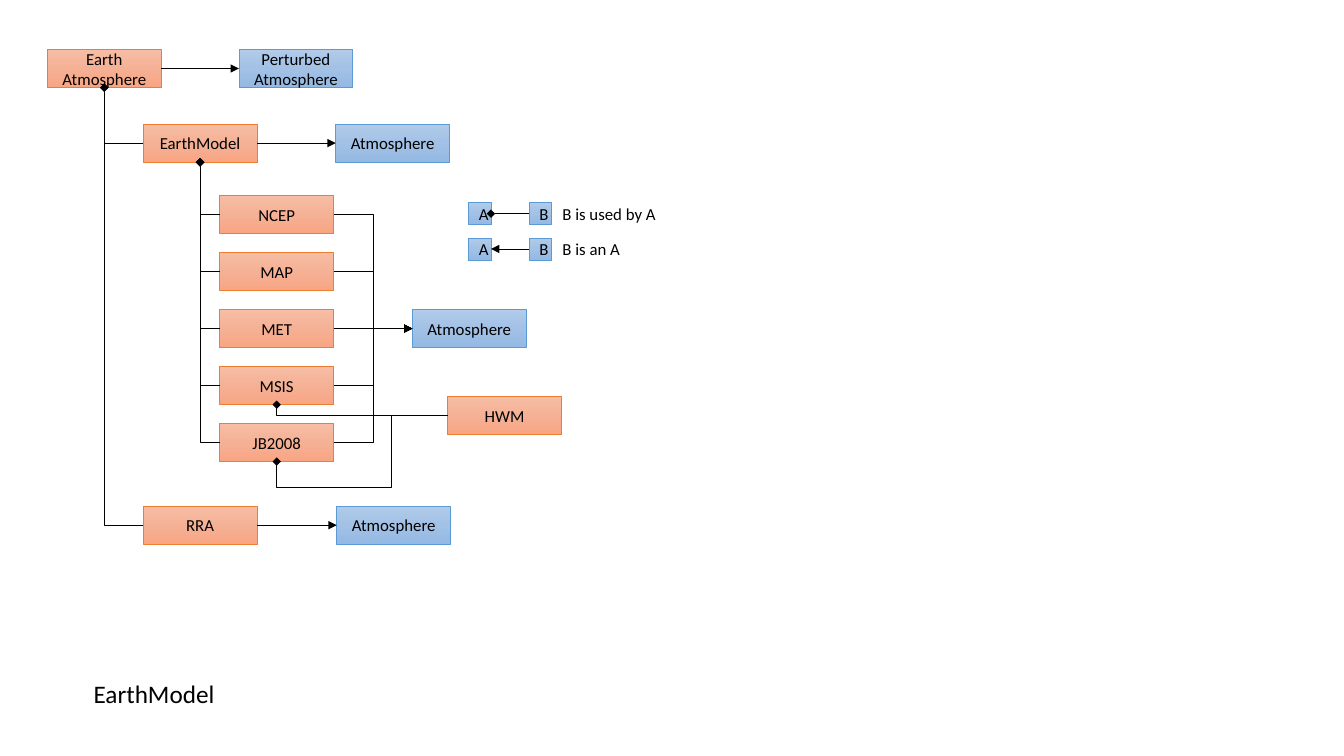
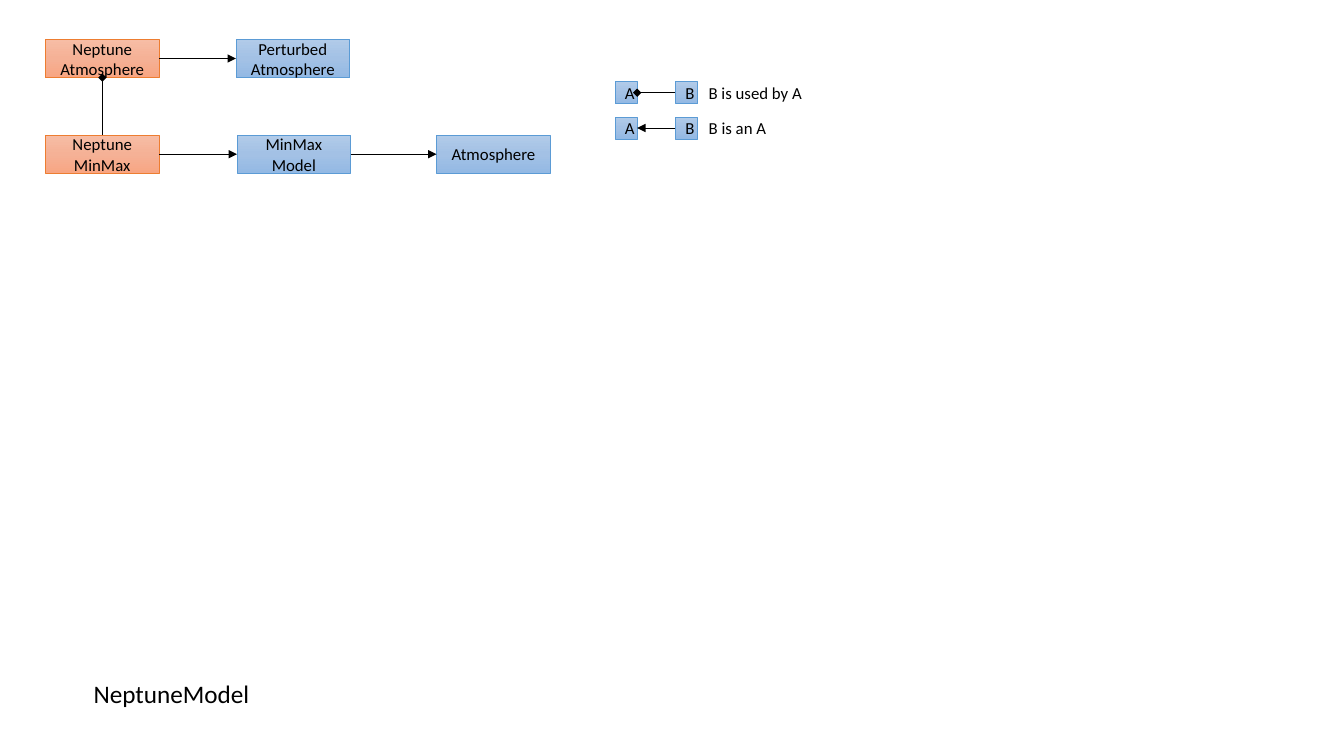
import copy
import dataclasses

import lxml.etree
import pptx
import pptx.dml.color
import pptx.enum.shapes
import pptx.enum.text
import pptx.oxml.ns
import pptx.util

Inches = pptx.util.Inches
qn = pptx.oxml.ns.qn
TOP, LEFT, BOTTOM, RIGHT = range(4)


@dataclasses.dataclass(frozen=True)
class Theme:
    """Colours, type sizes and measures shared by the slides."""

    orange: tuple = ("F7BDA5", "F5B196", "F8A582", "ED7D31")
    blue: tuple = ("B1CBE9", "A3C1E5", "93B9E4", "5B9BD5")
    ink: str = "000000"
    font: str = "Calibri"
    label_size: int = 12
    title_size: int = 18
    line_width: float = 0.5
    box_width: float = 1.13
    box_height: float = 0.38
    key_size: float = 0.22


THEME = Theme()


def color(value):
    """Return an RGB colour from its hexadecimal digits."""
    return pptx.dml.color.RGBColor.from_string(value)


def apply_format(target, values):
    """Set each attribute named in values on target."""
    for name, value in values.items():
        setattr(target, name, value)


def write_text(shape, text, size, alignment=None):
    """Write one paragraph for each line of text."""
    frame = shape.text_frame
    frame.text = text
    for paragraph in frame.paragraphs:
        if alignment is not None:
            paragraph.alignment = alignment
        apply_format(paragraph.font, {"name": THEME.font, "size": pptx.util.Pt(size)})
        paragraph.font.color.rgb = color(THEME.ink)


def set_line(line, value):
    """Give a line its colour and the shared width."""
    line.color.rgb = color(value)
    line.width = pptx.util.Pt(THEME.line_width)


def add_box(shapes, left, top, width, height, text, palette):
    """Add a labelled rectangle with a three-stop vertical gradient."""
    shape = shapes.add_shape(
        pptx.enum.shapes.MSO_SHAPE.RECTANGLE,
        Inches(left), Inches(top), Inches(width), Inches(height),
    )
    shape.shadow.inherit = False
    shape.fill.gradient()
    shape.fill.gradient_angle = 270
    stop_list = shape._element.spPr.find(qn("a:gradFill")).find(qn("a:gsLst"))
    stop_list.insert(1, copy.deepcopy(stop_list[0]))
    for stop, position, value in zip(shape.fill.gradient_stops, (0, 0.5, 1), palette):
        stop.position = position
        stop.color.rgb = color(value)
    set_line(shape.line, palette[-1])
    write_text(shape, text, THEME.label_size, pptx.enum.text.PP_ALIGN.CENTER)
    return shape


def add_label(shapes, left, top, width, height, text, size):
    """Add a text box that fits its single line of text."""
    shape = shapes.add_textbox(Inches(left), Inches(top), Inches(width), Inches(height))
    values = {"word_wrap": False, "auto_size": pptx.enum.text.MSO_AUTO_SIZE.SHAPE_TO_FIT_TEXT}
    apply_format(shape.text_frame, values)
    write_text(shape, text, size)


def join(shapes, begin, end, arrowhead, preset="line", adjustments=()):
    """Connect two (shape, side) pairs and put an arrowhead at the end."""
    kinds = pptx.enum.shapes.MSO_CONNECTOR
    kind = kinds.STRAIGHT if preset == "line" else kinds.ELBOW
    connector = shapes.add_connector(kind, 0, 0, 0, 0)
    connector.begin_connect(*begin)
    connector.end_connect(*end)
    set_line(connector.line, THEME.ink)
    properties = connector._element.spPr
    geometry = properties.find(qn("a:prstGeom"))
    geometry.set("prst", preset)
    for number, value in enumerate(adjustments, 1):
        guide = lxml.etree.SubElement(geometry.find(qn("a:avLst")), qn("a:gd"))
        guide.set("name", f"adj{number}")
        guide.set("fmla", f"val {round(value * 100000)}")
    tail = lxml.etree.SubElement(properties.find(qn("a:ln")), qn("a:tailEnd"))
    tail.set("type", arrowhead)
    lxml.etree.SubElement(properties, qn("a:effectLst"))


def add_boxes(slide, left, top, boxes):
    """Place class boxes from offsets and return them by key."""
    return {
        key: add_box(slide.shapes, left + x, top + y, THEME.box_width, THEME.box_height, text, palette)
        for key, (x, y, text, palette) in boxes.items()
    }


def add_inheritance(slide, boxes, pairs):
    """Draw a straight arrow from each class to its base class."""
    for child, base in pairs:
        join(slide.shapes, (boxes[child], RIGHT), (boxes[base], LEFT), "triangle")


def add_legend(slide, left, top):
    """Add the grouped key to the two kinds of relation."""
    shapes = slide.shapes.add_group_shape().shapes
    rows = (("B is used by A", "diamond", 1.14), ("B is an A", "triangle", 0.78))
    size = THEME.key_size
    for index, (text, arrowhead, width) in enumerate(rows):
        row_top = top + 0.35 * index
        user = add_box(shapes, left, row_top, size, size, "A", THEME.blue)
        used = add_box(shapes, left + 0.6, row_top, size, size, "B", THEME.blue)
        add_label(shapes, left + 0.83, row_top - 0.04, width, 0.3, text, THEME.label_size)
        join(shapes, (used, LEFT), (user, RIGHT), arrowhead)


def add_earth_diagram(slide, left, top):
    """Draw the Earth classes with their uses and base classes."""
    models = ("NCEP", "MAP", "MET", "MSIS", "JB2008")
    first_row, row_step = 1.45, 2.26 / 4
    layout = {
        "earth": (0, 0, "Earth\nAtmosphere", THEME.orange),
        "perturbed": (1.9, 0, "Perturbed\nAtmosphere", THEME.blue),
        "model": (0.95, 0.74, "EarthModel", THEME.orange),
        "model base": (2.86, 0.74, "Atmosphere", THEME.blue),
        "shared base": (3.62, first_row + 2 * row_step, "Atmosphere", THEME.blue),
        "wind": (3.97, 3.44, "HWM", THEME.orange),
        "range": (0.95, 4.53, "RRA", THEME.orange),
        "range base": (2.87, 4.53, "Atmosphere", THEME.blue),
    }
    for index, name in enumerate(models):
        layout[name] = (1.71, first_row + index * row_step, name, THEME.orange)
    boxes = add_boxes(slide, left, top, layout)
    pairs = (("earth", "perturbed"), ("model", "model base"), ("MET", "shared base"), ("range", "range base"))
    add_inheritance(slide, boxes, pairs)
    for name in models:
        if name != "MET":
            join(slide.shapes, (boxes[name], RIGHT), (boxes["shared base"], LEFT), "triangle", "bentConnector3")
    uses = [("model", "earth"), ("range", "earth"), ("wind", "MSIS")]
    uses += [(name, "model") for name in models]
    for part, owner in uses:
        join(slide.shapes, (boxes[part], LEFT), (boxes[owner], BOTTOM), "diamond", "bentConnector2")
    join(
        slide.shapes, (boxes["wind"], LEFT), (boxes["JB2008"], BOTTOM),
        "diamond", "bentConnector4", (0.33, 1.55),
    )


def add_neptune_diagram(slide, left, top):
    """Draw the Neptune classes with their uses and base classes."""
    boxes = add_boxes(slide, left, top, {
        "neptune": (0, 0, "Neptune\nAtmosphere", THEME.orange),
        "perturbed": (1.89, 0, "Perturbed\nAtmosphere", THEME.blue),
        "minmax": (0, 0.95, "Neptune\nMinMax", THEME.orange),
        "model": (1.9, 0.95, "MinMax\nModel", THEME.blue),
        "base": (3.88, 0.95, "Atmosphere", THEME.blue),
    })
    add_inheritance(slide, boxes, (("neptune", "perturbed"), ("minmax", "model"), ("model", "base")))
    join(slide.shapes, (boxes["minmax"], TOP), (boxes["neptune"], BOTTOM), "diamond")


def main():
    """Build both class diagram slides and save the presentation."""
    presentation = pptx.Presentation()
    apply_format(presentation, {"slide_width": Inches(13.33), "slide_height": Inches(7.5)})
    pages = (
        ("EarthModel", 1.41, add_earth_diagram, (0.47, 0.49), (4.65, 2.01)),
        ("NeptuneModel", 1.77, add_neptune_diagram, (0.45, 0.39), (6.1, 0.81)),
    )
    for title, title_width, add_diagram, diagram_corner, legend_corner in pages:
        slide = presentation.slides.add_slide(presentation.slide_layouts[6])
        add_diagram(slide, *diagram_corner)
        add_legend(slide, *legend_corner)
        add_label(slide.shapes, 0.83, 6.68, title_width, 0.4, title, THEME.title_size)
    presentation.save("out.pptx")


if __name__ == "__main__":
    main()
